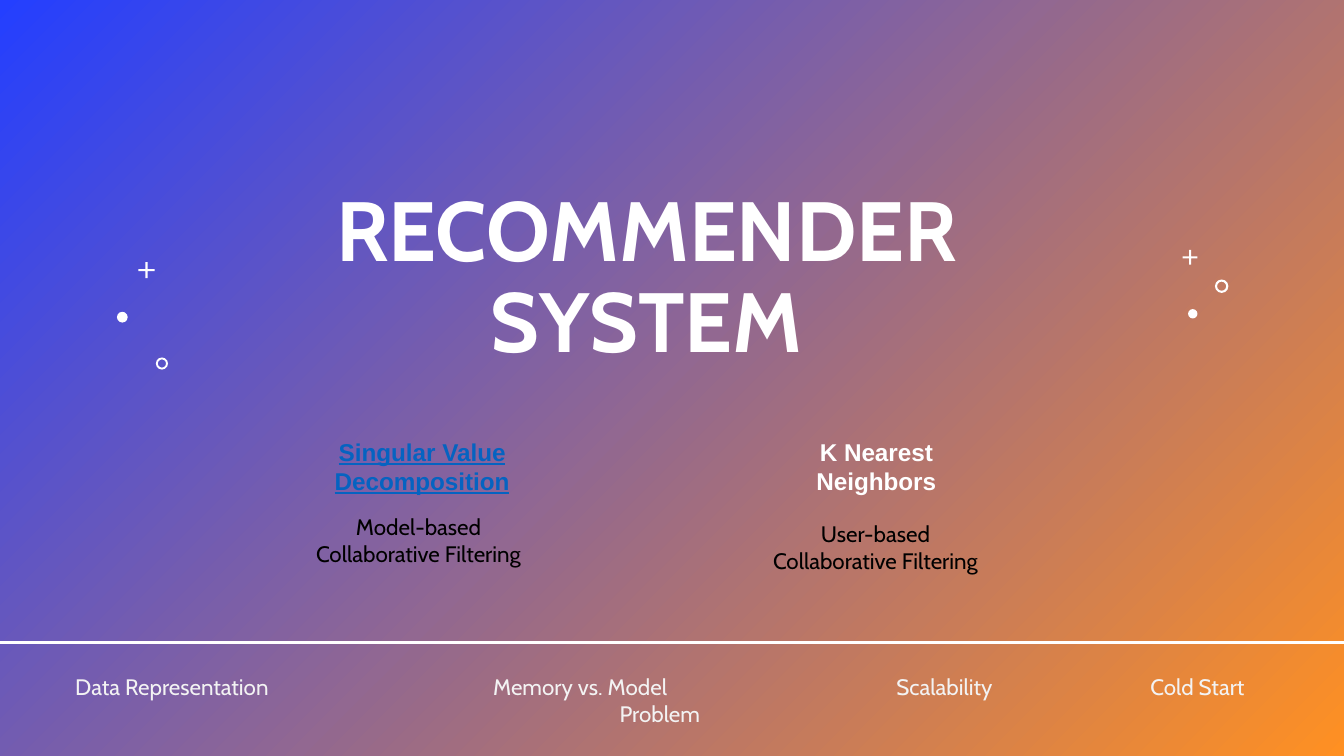
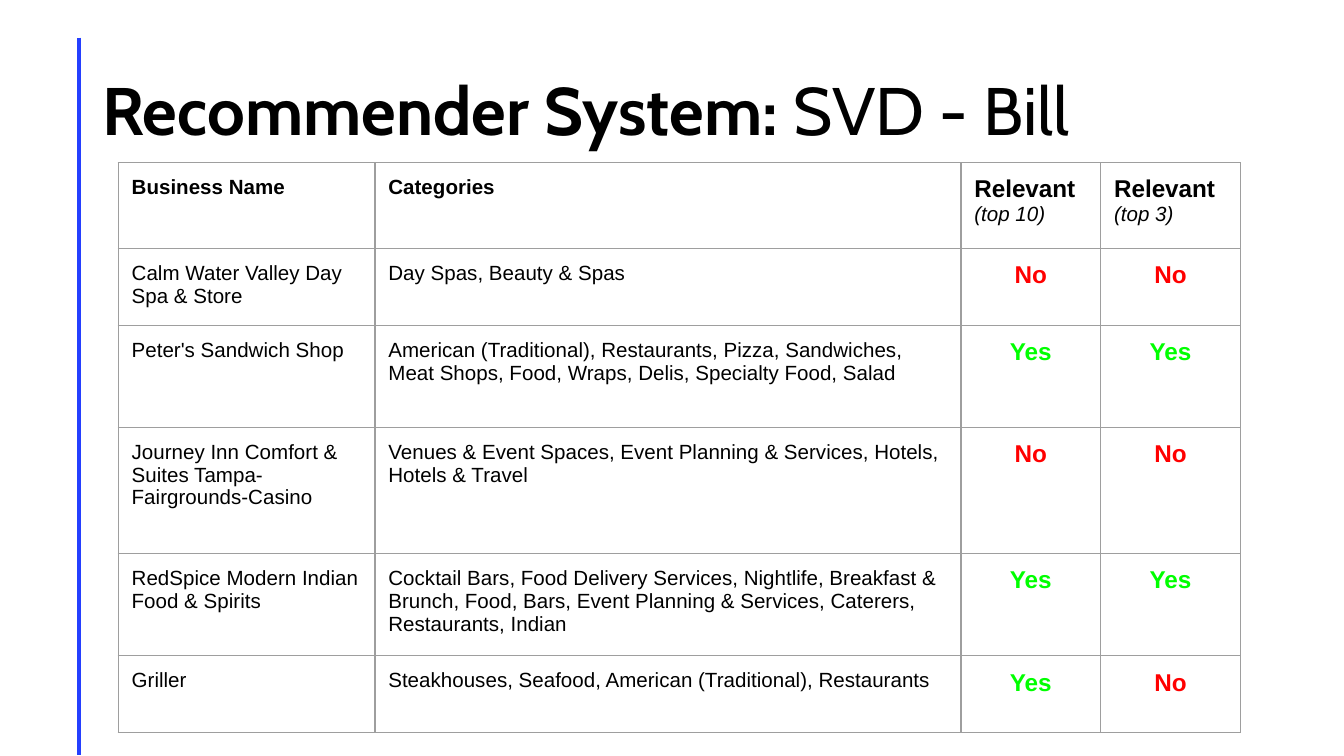
from dataclasses import dataclass

from lxml.etree import SubElement
from pptx import Presentation
from pptx.dml.color import RGBColor
from pptx.enum.shapes import MSO_CONNECTOR, MSO_SHAPE
from pptx.enum.text import MSO_ANCHOR, MSO_AUTO_SIZE, PP_ALIGN
from pptx.oxml.ns import qn
from pptx.util import Inches, Pt


@dataclass(frozen=True)
class Theme:
    blue: str = "243FFF"
    orange: str = "FF9022"
    white: str = "FFFFFF"
    pale: str = "F3F3F3"
    black: str = "000000"
    link: str = "0563C1"
    grid: str = "9E9E9E"
    yes: str = "00FF00"
    no: str = "FF0000"
    display: str = "Cabin"
    text: str = "Arial"
    cover: int = 45
    title: int = 36
    strong: int = 13
    label: int = 12
    cell: int = 11
    rule: float = 2
    border: float = 0.75


T = Theme()
TITLE_ONLY = 5
TIGHT = (0.07, 0.04)
ROOMY = (0.1, 0.1)

ORNAMENTS = [  # kind, left, top, size
    ("plus", 1.03, 1.95, 0.12),
    ("dot", 0.87, 2.32, 0.08),
    ("ring", 1.16, 2.66, 0.09),
    ("plus", 8.8, 1.86, 0.11),
    ("ring", 9.04, 2.08, 0.1),
    ("dot", 8.84, 2.3, 0.07),
]
ORNAMENT_SHAPES = {
    "plus": (MSO_SHAPE.CROSS, 0.43),
    "dot": (MSO_SHAPE.OVAL, None),
    "ring": (MSO_SHAPE.DONUT, 0.16),
}
TOPICS = ["Data Representation", "Memory vs. Model", "Scalability", "Cold Start Problem"]
TOPIC_STOPS = [3.11, 6.11, 8]

COLUMN_WIDTHS = [1.91, 4.36, 1.04, 1.04]
ROW_HEIGHTS = [0.64, 0.57, 0.76, 0.94, 0.76, 0.57]
CUTOFFS = ["(top 10)", "(top 3)"]
BUSINESSES = [
    ("Calm Water Valley Day Spa & Store", "Day Spas, Beauty & Spas", "No", "No"),
    ("Peter's Sandwich Shop",
     "American (Traditional), Restaurants, Pizza, Sandwiches, Meat Shops, "
     "Food, Wraps, Delis, Specialty Food, Salad", "Yes", "Yes"),
    ("Journey Inn Comfort & Suites Tampa-Fairgrounds-Casino",
     "Venues & Event Spaces, Event Planning & Services, Hotels, Hotels & Travel",
     "No", "No"),
    ("RedSpice Modern Indian Food & Spirits",
     "Cocktail Bars, Food Delivery Services, Nightlife, Breakfast & Brunch, "
     "Food, Bars, Event Planning & Services, Caterers, Restaurants, Indian",
     "Yes", "Yes"),
    ("Griller", "Steakhouses, Seafood, American (Traditional), Restaurants",
     "Yes", "No"),
]


def rgb(color):
    return RGBColor.from_string(color)


def add_run(p, text, size, color=T.black, font=T.text, bold=False, italic=False,
            underline=False):
    r = p.add_run()
    r.text = text
    f = r.font
    f.name, f.size, f.bold, f.italic = font, Pt(size), bold, italic
    f.color.rgb = rgb(color)
    if underline:
        f.underline = True


def set_insets(tf, insets):
    tf.margin_left = tf.margin_right = Inches(insets[0])
    tf.margin_top = tf.margin_bottom = Inches(insets[1])


def set_title(slide, box, anchor, align, size, lines):
    """Fill the title placeholder; each line is a list of (text, bold, color)."""
    sp = slide.shapes.title
    sp.left, sp.top, sp.width, sp.height = map(Inches, box)
    tf = sp.text_frame
    tf.word_wrap = True
    tf.auto_size = MSO_AUTO_SIZE.NONE
    tf.vertical_anchor = anchor
    set_insets(tf, TIGHT)
    for i, line in enumerate(lines):
        p = tf.add_paragraph() if i else tf.paragraphs[0]
        p.alignment, p.line_spacing = align, 0.9
        p.space_before = Pt(0)
        for text, bold, color in line:
            add_run(p, text, size, color, T.display, bold)


def add_label(slide, box, insets, lines, size, **style):
    """Add a centred text box and return its first paragraph."""
    tf = slide.shapes.add_textbox(*map(Inches, box)).text_frame
    tf.word_wrap = True
    set_insets(tf, insets)
    for i, line in enumerate(lines):
        p = tf.add_paragraph() if i else tf.paragraphs[0]
        p.alignment = PP_ALIGN.CENTER
        add_run(p, line, size, **style)
    return tf.paragraphs[0]


def add_rule(slide, x1, y1, x2, y2, color):
    line = slide.shapes.add_connector(MSO_CONNECTOR.STRAIGHT,
                                      *map(Inches, (x1, y1, x2, y2)))
    line.line.color.rgb = rgb(color)
    line.line.width = Pt(T.rule)
    SubElement(line.element.spPr, qn("a:effectLst"))
    return line


def add_master_rule(prs, slide):
    """Draw the side rule and move it to the master, which all slides share."""
    rule = add_rule(slide, 0.59, 0.28, 0.59, 5.62, T.blue)
    prs.slide_master.shapes.element.append(rule.element)


def add_backdrop(prs, slide):
    sp = slide.shapes.add_shape(MSO_SHAPE.RECTANGLE, 0, 0,
                                prs.slide_width, prs.slide_height)
    sp.shadow.inherit = False
    sp.line.fill.background()
    sp.fill.gradient()
    sp.fill.gradient_angle = 315
    for stop, color in zip(sp.fill.gradient_stops, (T.blue, T.orange)):
        stop.color.rgb = rgb(color)
    slide.shapes.title.element.addprevious(sp.element)


def add_ornament(slide, kind, left, top, size):
    preset, adjustment = ORNAMENT_SHAPES[kind]
    sp = slide.shapes.add_shape(preset, *map(Inches, (left, top, size, size)))
    if adjustment is not None:
        sp.adjustments[0] = adjustment
    sp.shadow.inherit = False
    sp.fill.solid()
    sp.fill.fore_color.rgb = rgb(T.white)
    sp.line.fill.background()


def add_topics(slide):
    p = add_label(slide, (0.39, 4.91, 9.04, 0.4), ROOMY, ["\t".join(TOPICS)],
                  T.label, color=T.pale, font=T.display)
    stops = SubElement(p._p.get_or_add_pPr(), qn("a:tabLst"))
    for stop in TOPIC_STOPS:
        SubElement(stops, qn("a:tab"), pos=str(Inches(stop)), algn="l")


def style_cell(cell):
    set_insets(cell, ROOMY)
    tcPr = cell._tc.get_or_add_tcPr()
    for side in ("lnL", "lnR", "lnT", "lnB"):
        ln = SubElement(tcPr, qn(f"a:{side}"), w=str(Pt(T.border)))
        SubElement(SubElement(ln, qn("a:solidFill")), qn("a:srgbClr"), val=T.grid)
    cell.fill.background()


def add_business_table(slide):
    table = slide.shapes.add_table(
        len(ROW_HEIGHTS), len(COLUMN_WIDTHS), Inches(0.88), Inches(1.21),
        Inches(sum(COLUMN_WIDTHS)), Inches(sum(ROW_HEIGHTS))).table
    table.first_row = table.horz_banding = False
    for column, width in zip(table.columns, COLUMN_WIDTHS):
        column.width = Inches(width)
    for row, height in zip(table.rows, ROW_HEIGHTS):
        row.height = Inches(height)
    for cell in table.iter_cells():
        style_cell(cell)

    def paragraph(row, col):
        return table.cell(row, col).text_frame.paragraphs[0]

    for col, heading in enumerate(["Business Name", "Categories"]):
        add_run(paragraph(0, col), heading, T.cell, bold=True)
    for col, cutoff in enumerate(CUTOFFS, 2):
        p = paragraph(0, col)
        add_run(p, "Relevant ", T.strong, bold=True)
        add_run(p, cutoff, T.cell, italic=True)
    for row, (name, categories, *verdicts) in enumerate(BUSINESSES, 1):
        add_run(paragraph(row, 0), name, T.cell)
        add_run(paragraph(row, 1), categories, T.cell)
        for col, verdict in enumerate(verdicts, 2):
            p = paragraph(row, col)
            p.alignment = PP_ALIGN.CENTER
            add_run(p, verdict, T.strong, T.yes if verdict == "Yes" else T.no,
                    bold=True)


def build_cover(prs, slide):
    add_backdrop(prs, slide)
    set_title(slide, (1.06, 0.88, 7.5, 1.92), MSO_ANCHOR.BOTTOM, PP_ALIGN.CENTER,
              T.cover, [[("RECOMMENDER", True, T.white)], [("SYSTEM", True, T.white)]])
    for ornament in ORNAMENTS:
        add_ornament(slide, *ornament)
    add_rule(slide, 0, 4.78, 10, 4.78, T.white)
    add_label(slide, (2.35, 3.21, 1.58, 0.51), TIGHT, ["Singular Value Decomposition"],
              T.strong, color=T.link, bold=True, underline=True)
    add_label(slide, (5.73, 3.21, 1.58, 0.51), TIGHT, ["K Nearest Neighbors"],
              T.strong, color=T.white, bold=True)
    for left, top, basis in [(2.08, 3.72, "Model-based"), (5.48, 3.77, "User-based")]:
        add_label(slide, (left, top, 2.07, 0.61), ROOMY,
                  [basis, "Collaborative Filtering"], T.label, font=T.display)
    add_topics(slide)


def build_results(slide):
    set_title(slide, (0.69, 0.3, 8.62, 1.09), MSO_ANCHOR.MIDDLE, PP_ALIGN.LEFT, T.title,
              [[("Recommender System: ", True, T.black), ("SVD - Bill", False, T.black)]])
    add_business_table(slide)


def main():
    prs = Presentation()
    prs.slide_width = Inches(10)
    prs.slide_height = prs.slide_width * 9 // 16
    layout = prs.slide_layouts[TITLE_ONLY]
    cover, results = (prs.slides.add_slide(layout) for _ in range(2))
    add_master_rule(prs, cover)
    build_cover(prs, cover)
    build_results(results)
    prs.save("out.pptx")


if __name__ == "__main__":
    main()
